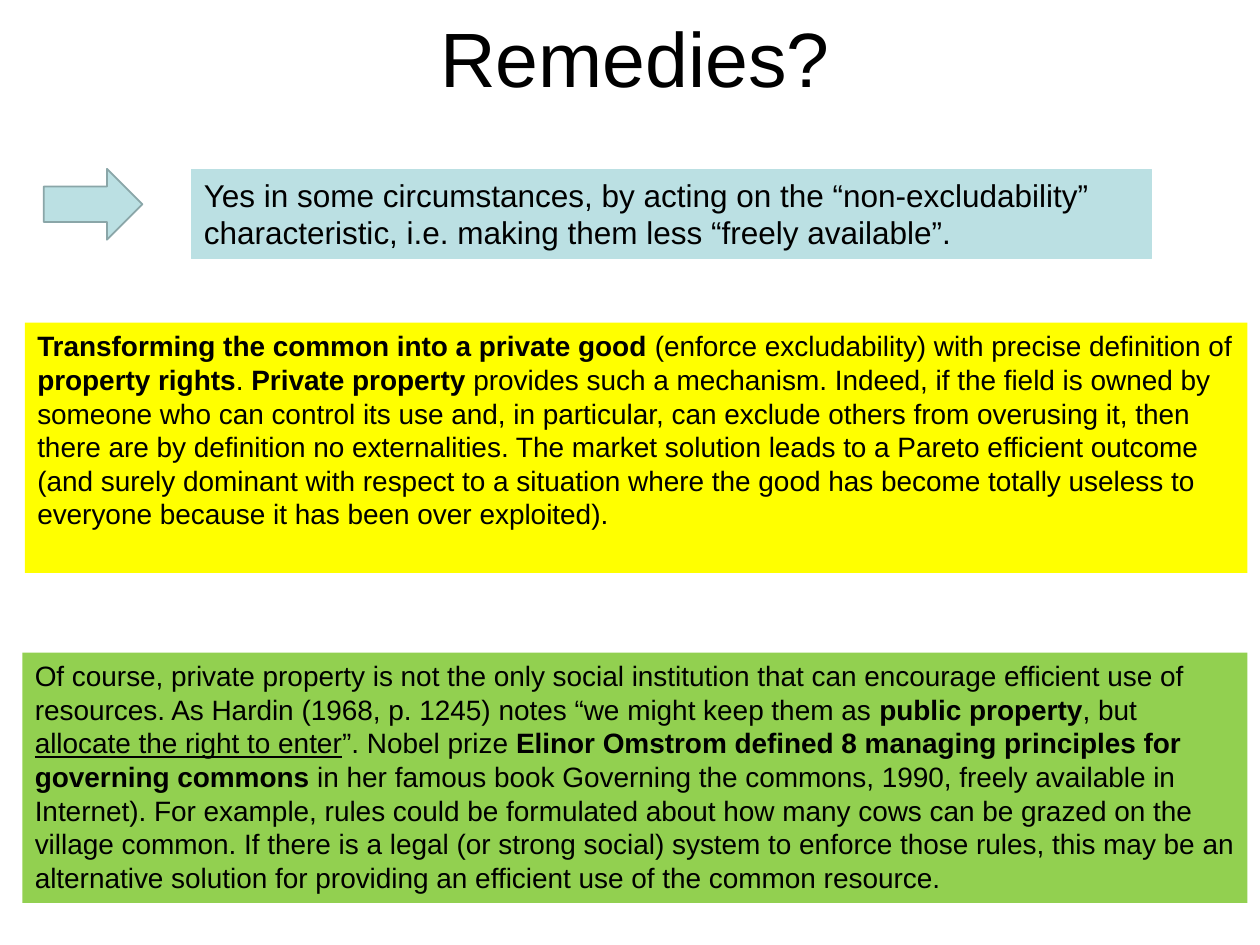
from pptx import Presentation
from pptx.dml.color import RGBColor
from pptx.enum.shapes import MSO_SHAPE as Shape
from pptx.enum.text import MSO_ANCHOR as Anchor, PP_ALIGN as Align
from pptx.util import Pt

COLORS = {
    "text": "000000",
    "pale": "BBE0E3",
    "edge": "8AA6A8",
    "yellow": "FFFF00",
    "green": "92D050",
}

ANSWER = [
    ("Yes in some circumstances, by acting on the “non-excludability” "
     "characteristic, i.e. making them less “freely available”.", ""),
]
PRIVATE = [
    ("Transforming the common into a private good ", "b"),
    ("(enforce excludability) with precise definition of ", ""),
    ("property rights", "b"),
    (". ", ""),
    ("Private property ", "b"),
    ("provides such a mechanism. Indeed, if the field is owned by someone who "
     "can control its use and, in particular, can exclude others from overusing "
     "it, then there are by definition no externalities. The market solution "
     "leads to a Pareto efficient outcome (and surely dominant with respect to "
     "a situation where the good has become totally useless to everyone because "
     "it has been over exploited).", ""),
]
PUBLIC = [
    ("Of course, private property is not the only social institution that can "
     "encourage efficient use of resources. As Hardin (1968, p. 1245) notes “we "
     "might keep them as ", ""),
    ("public property", "b"),
    (", but ", ""),
    ("allocate the right to enter", "u"),
    ("”. Nobel prize ", ""),
    ("Elinor Omstrom defined 8 managing principles for governing commons ", "b"),
    ("in her famous book Governing the commons, 1990, freely available in "
     "Internet). For example, rules could be formulated about how many cows can "
     "be grazed on the village common. If there is a legal (or strong social) "
     "system to enforce those rules, this may be an alternative solution for "
     "providing an efficient use of the common resource.", ""),
]


def color(name):
    return RGBColor.from_string(COLORS[name])


def write(frame, runs, size, align=Align.LEFT, anchor=Anchor.TOP):
    """Fill the frame with one paragraph of (text, style) runs; b is bold, u underlined."""
    frame.word_wrap = True
    frame.vertical_anchor = anchor
    para = frame.paragraphs[0]
    para.alignment = align
    font = para.font
    font.name, font.size = "Arial", Pt(size)
    font.color.rgb = color("text")
    for text, style in runs:
        run = para.add_run()
        run.text = text
        if style == "b":
            run.font.bold = True
        elif style == "u":
            run.font.underline = True


def add_title(slide, box, text):
    title = slide.shapes.add_textbox(*map(Pt, box))
    write(title.text_frame, [(text, "")], 44, Align.CENTER, Anchor.MIDDLE)


def add_block(slide, kind, box, fill, line=None, width=1):
    block = slide.shapes.add_shape(kind, *map(Pt, box))
    block.shadow.inherit = False
    block.fill.solid()
    block.fill.fore_color.rgb = color(fill)
    if line:
        block.line.color.rgb = color(line)
        block.line.width = Pt(width)
    else:
        block.line.fill.background()
    return block


def add_panel(slide, box, fill, runs, size, line=None):
    panel = add_block(slide, Shape.RECTANGLE, box, fill, line, 0.75)
    write(panel.text_frame, runs, size)


def main():
    deck = Presentation()
    deck.slide_width, deck.slide_height = Pt(720), Pt(540)
    slide = deck.slides.add_slide(deck.slide_layouts[6])
    add_title(slide, (25.2, -0.7, 675.4, 66.2), "Remedies?")
    add_panel(slide, (14.2, 184.4, 698.6, 143), "yellow", PRIVATE, 16)
    add_panel(slide, (12.8, 372.9, 700, 143), "green", PUBLIC, 16)
    add_block(slide, Shape.RIGHT_ARROW, (25, 96.5, 56.4, 40.5), "pale", "edge")
    add_panel(slide, (109.4, 96.8, 548.6, 51), "pale", ANSWER, 18, "pale")
    deck.save("out.pptx")


if __name__ == "__main__":
    main()
